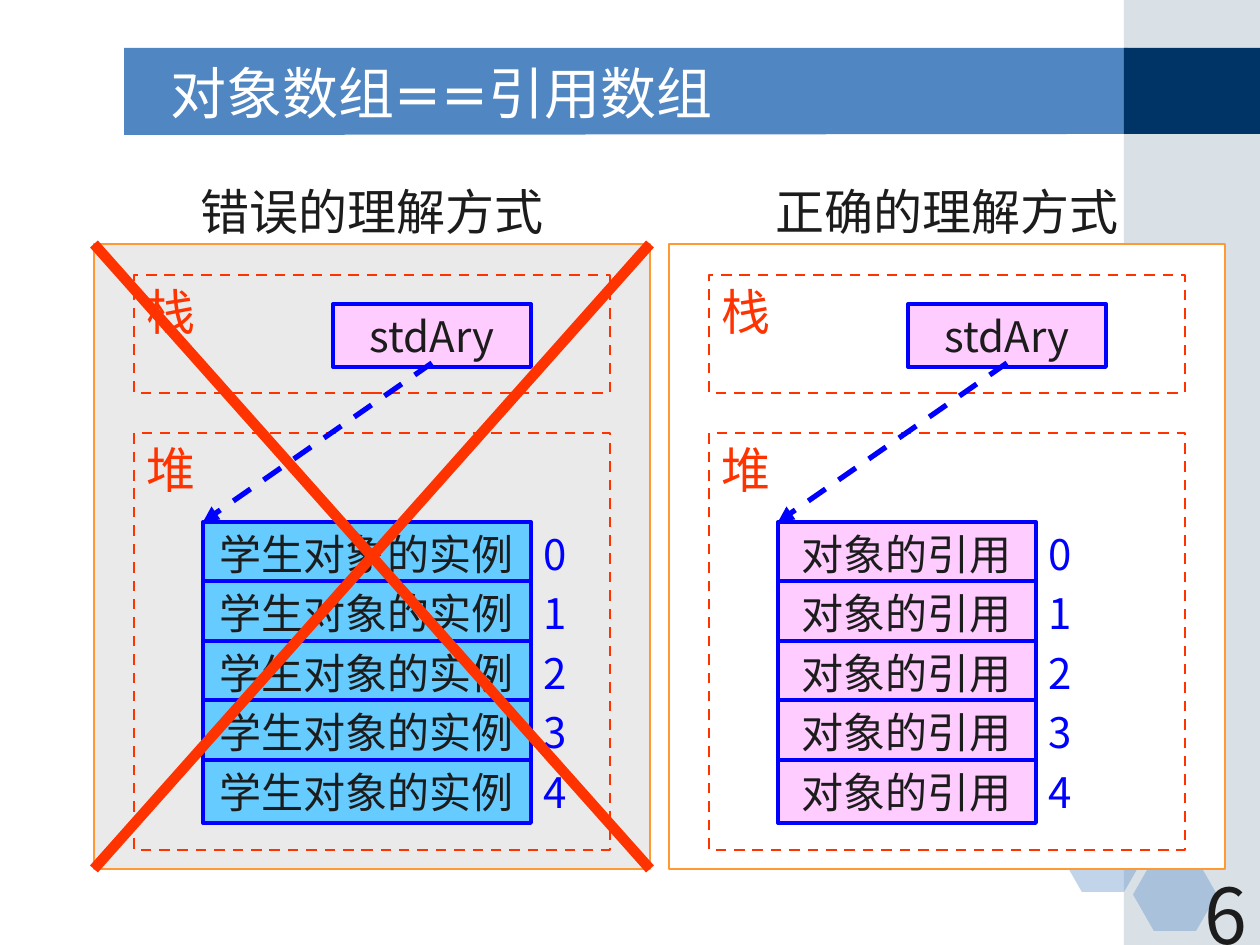
from pptx import Presentation
from pptx.util import Emu, Pt
from pptx.dml.color import RGBColor as RGB
from pptx.enum.dml import MSO_LINE as Dash
from pptx.enum.shapes import MSO_SHAPE as Kind, MSO_CONNECTOR as Conn
from pptx.enum.text import PP_ALIGN as Align, MSO_ANCHOR as Anchor
from pptx.oxml.ns import qn
from lxml.etree import SubElement as Sub

# Content
TITLE = "对象数组==引用数组"
PAGE = "6"
VAR = "stdAry"
COUNT = 5
ZONES = [("栈", 275, 118), ("堆", 433, 417)]
PANELS = [
    dict(left=94, head="错误的理解方式", cell="学生对象的实例", wide=328,
         back="EAEAEA", fill="66CCFF"),
    dict(left=669, head="正确的理解方式", cell="对象的引用", wide=258,
         back="FFFFFF", fill="FFCCFF"),
]

# Theme
THEME = dict(
    bar="5086C2", navy="003366", side="A0B5C4", white="FFFFFF", ink="1C1C1C",
    red="FF3300", blue="0000FF", pink="FFCCFF", frame="FF9933",
    cjk="Noto Sans CJK SC", serif="Times New Roman", sans="DejaVu Sans",
    title=32, head=28, body=24, page=44,
)
T = THEME

# Geometry in pixels
SCALE = 914400 / 126
TOP, WIDE, HIGH = 244, 556, 625
ROW, STEP, BOX = 522, 59.5, 63


def px(*vals):
    return [Emu(round(v * SCALE)) for v in vals]


def write(shape, text, size, color, font, align=Align.CENTER,
          anchor=Anchor.MIDDLE):
    frame = shape.text_frame
    frame.word_wrap = True
    frame.vertical_anchor = anchor
    frame.text = text
    para = frame.paragraphs[0]
    para.alignment = align
    run = para.runs[0].font
    run.size, run.name = Pt(size), font
    run.color.rgb = RGB.from_string(color)
    Sub(para.runs[0]._r.rPr, qn("a:ea"), typeface=T["cjk"])


def paint(shape, fill=None, line=None, weight=1.5, dash=None, alpha=None):
    shape.shadow.inherit = False
    if fill:
        shape.fill.solid()
        shape.fill.fore_color.rgb = RGB.from_string(fill)
        if alpha:
            tint = shape.element.spPr.find(".//" + qn("a:srgbClr"))
            Sub(tint, qn("a:alpha"), val=str(alpha * 1000))
    else:
        shape.fill.background()
    if line:
        stroke(shape, line, weight, dash)
    else:
        shape.line.fill.background()
    return shape


def stroke(item, color, weight, dash=None):
    item.line.color.rgb = RGB.from_string(color)
    item.line.width = Pt(weight)
    if dash:
        item.line.dash_style = dash


def block(on, at, kind=Kind.RECTANGLE, **look):
    return paint(on.add_shape(kind, *px(*at)), **look)


def label(on, at, *args, **kw):
    write(on.add_textbox(*px(*at)), *args, **kw)


def link(on, ends, color, weight, dash=None, arrow=False):
    line = on.add_connector(Conn.STRAIGHT, *px(*ends))
    stroke(line, color, weight, dash)
    if arrow:
        Sub(line.line._get_or_add_ln(), qn("a:tailEnd"), type="triangle")
    Sub(line.element.spPr, qn("a:effectLst"))


deck = Presentation()
deck.slide_width, deck.slide_height = px(1260, 945)
slide = deck.slides.add_slide(deck.slide_layouts[5])
shapes = slide.shapes

# Backdrop
pen = shapes.build_freeform(*px(124, 48), scale=1.0)
pen.add_line_segments([px(*p) for p in [(1128, 48), (1128, 134), (124, 135)]])
paint(pen.convert_to_shape(), fill=T["bar"])
block(shapes, (1124, 0, 136, 945), fill=T["side"], alpha=40)
block(shapes, (1124, 48, 136, 86), fill=T["navy"])
for x, y in [(1061, 819), (1133, 858)]:
    hexa = block(shapes, (x, y, 84, 73), Kind.HEXAGON, fill=T["bar"], alpha=35)
    hexa.adjustments[0] = 0.286

# Title, raised above the bar, and page number
title = shapes.title
title.left, title.top, title.width, title.height = px(158, 53, 924, 78)
write(title, TITLE, T["title"], T["white"], T["sans"], Align.LEFT)
title.element.getparent().append(title.element)
label(shapes, (998, 861, 262, 63), PAGE, T["page"], T["ink"], T["cjk"],
      Align.RIGHT, Anchor.TOP)

# Panels
for p in PANELS:
    on = shapes.add_group_shape().shapes
    left, wide = p["left"], p["wide"]
    inner, first, var = left + 40, left + 109, left + 239
    block(on, (left, TOP, WIDE, HIGH), fill=p["back"], line=T["frame"])
    label(on, (left, 175, WIDE, 72), p["head"], T["head"], T["ink"], T["serif"])
    for name, y, high in ZONES:
        block(on, (inner, y, 476, high), line=T["red"], dash=Dash.DASH)
        label(on, (inner, y, 69, 72), name, T["head"], T["red"], T["serif"])
    box = block(on, (var, 304, 198, BOX), fill=T["pink"], line=T["blue"],
                weight=2.24)
    write(box, VAR, T["body"], T["ink"], T["cjk"])
    for i in range(COUNT):
        y = ROW + i * STEP
        cell = block(on, (first, y, wide, BOX), fill=p["fill"],
                     line=T["blue"], weight=2.24)
        write(cell, p["cell"], T["body"], T["ink"], T["serif"])
        label(on, (first + wide, y, 49, BOX), str(i), T["body"], T["blue"],
              T["cjk"])
    link(on, (var + 99, 363, first, ROW), T["blue"], 3, Dash.DASH, True)

# Cross over the wrong panel
cross = shapes.add_group_shape().shapes
a = PANELS[0]["left"]
b = a + WIDE
for x, end in [(a, b), (b, a)]:
    link(cross, (x, TOP, end, TOP + HIGH), T["red"], 6)

deck.save("out.pptx")
